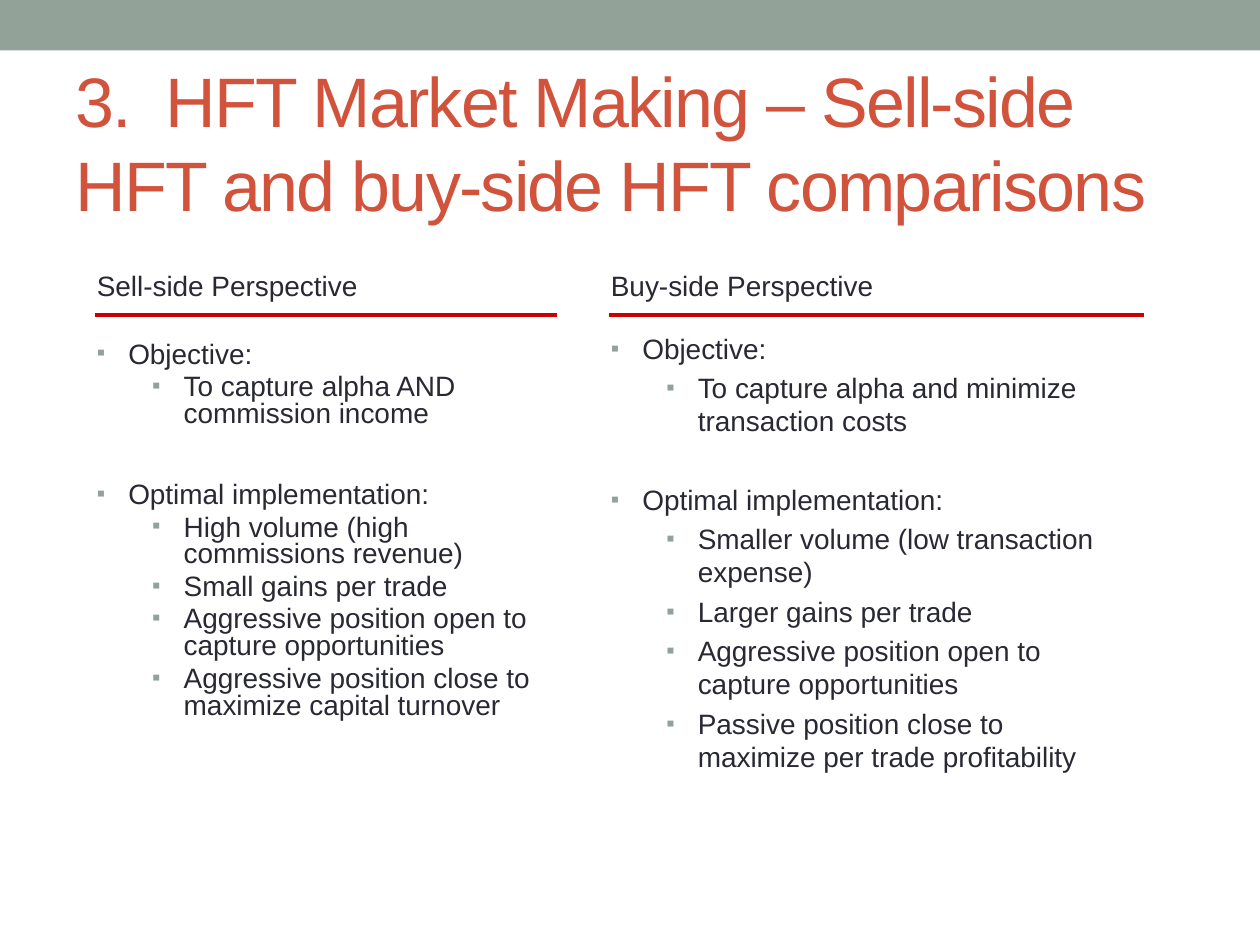
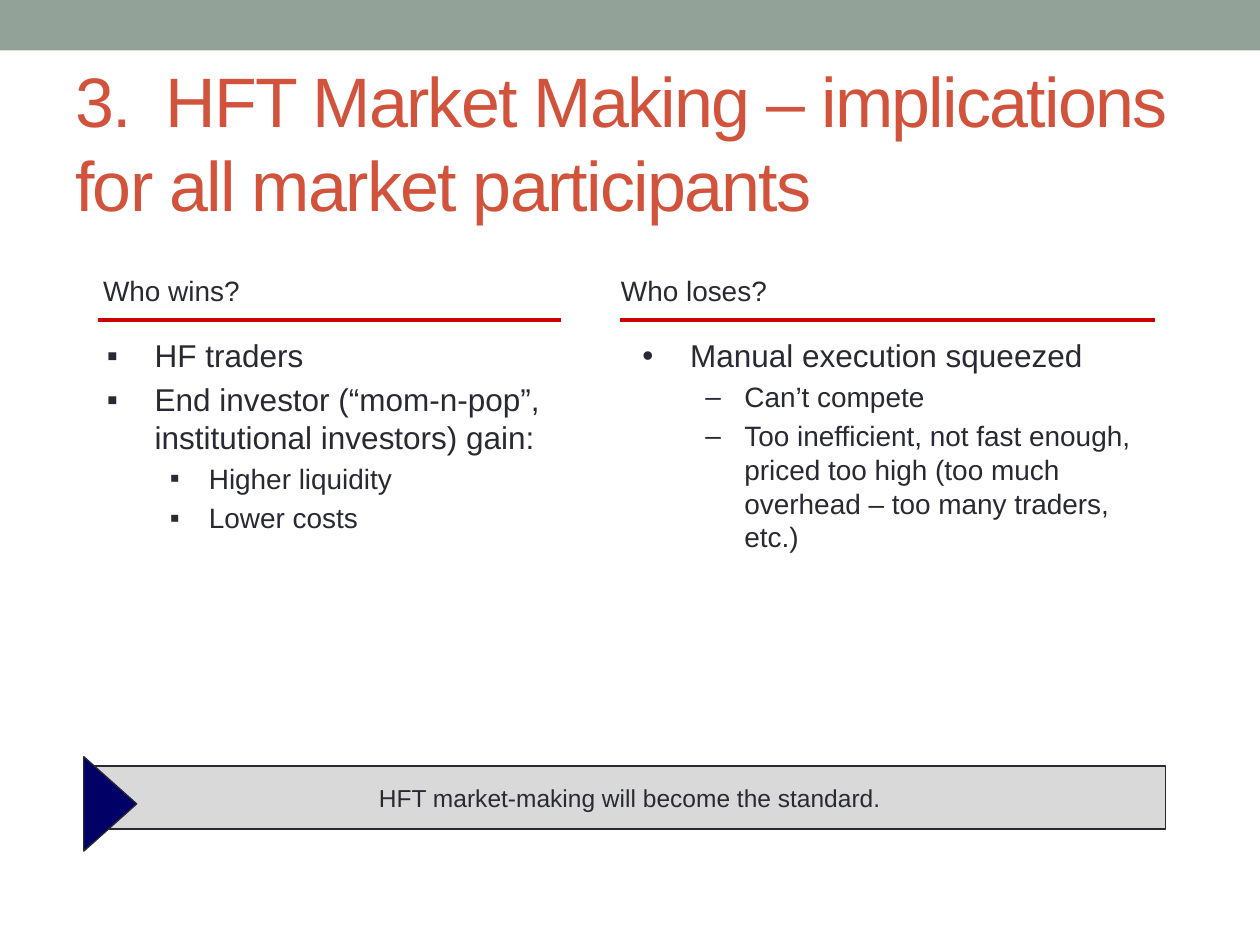
from dataclasses import dataclass

from lxml import etree
from pptx import Presentation
from pptx.dml.color import RGBColor
from pptx.enum.shapes import MSO_CONNECTOR, MSO_SHAPE
from pptx.enum.text import MSO_ANCHOR, PP_ALIGN
from pptx.oxml.ns import qn
from pptx.util import Inches, Pt

RECT, TRIANGLE = MSO_SHAPE.RECTANGLE, MSO_SHAPE.ISOSCELES_TRIANGLE
STRAIGHT = MSO_CONNECTOR.STRAIGHT
TOP, MIDDLE = MSO_ANCHOR.TOP, MSO_ANCHOR.MIDDLE
LEFT, CENTER = PP_ALIGN.LEFT, PP_ALIGN.CENTER


@dataclass(frozen=True)
class Theme:
    font: str = "Arial"
    ink: str = "292934"
    sage: str = "93A299"
    coral: str = "D2533C"
    red: str = "CC0000"
    gray: str = "D9D9D9"
    navy: str = "000066"
    title: int = 40
    lead: int = 18
    body: int = 16
    note: int = 14


THEME = Theme()

# Indents per level: (text margin, hang)
TIGHT = ((0.25, 0.25), (0.69, 0.25))
WIDE = ((0.38, 0.38), (0.81, 0.31))

# List styles: bullets and sizes are given per level
SAGE = dict(marks="▪▪", sizes=(THEME.body, THEME.body), dents=TIGHT,
            tint=THEME.sage, scale=85)
DARK = dict(marks="▪▪", sizes=(THEME.lead, THEME.body), dents=WIDE)
DASH = dict(DARK, marks="•–")

# Columns: head, head place, rule (left, top, width), list box, style, items.
# An item is (level, text); "gap" is the space in points above each later group.
SLIDES = [
    dict(
        title="3.  HFT Market Making – Sell-side HFT and buy-side HFT comparisons",
        columns=[
            dict(head="Sell-side Perspective", spot=(0.67, 2.08),
                 rule=(0.75, 2.5, 3.67), box=(0.67, 2.67, 3.67, 3.33),
                 style=dict(SAGE, lines=0.8, gap=31),
                 items=[(0, "Objective:"),
                        (1, "To capture alpha AND commission income"),
                        (0, "Optimal implementation:"),
                        (1, "High volume (high commissions revenue)"),
                        (1, "Small gains per trade"),
                        (1, "Aggressive position open to capture opportunities"),
                        (1, "Aggressive position close to maximize capital turnover")]),
            dict(head="Buy-side Perspective", spot=(4.75, 2.08),
                 rule=(4.83, 2.5, 4.25), box=(4.75, 2.58, 4.17, 4.17),
                 style=dict(SAGE, gap=25.5),
                 items=[(0, "Objective:"),
                        (1, "To capture alpha and minimize transaction costs"),
                        (0, "Optimal implementation:"),
                        (1, "Smaller volume (low transaction expense)"),
                        (1, "Larger gains per trade"),
                        (1, "Aggressive position open to capture opportunities"),
                        (1, "Passive position close to maximize per trade profitability")]),
        ]),
    dict(
        title="3.  HFT Market Making – implications for all market participants",
        columns=[
            dict(head="Who wins?", spot=(0.72, 2.12),
                 rule=(0.78, 2.54, 3.67), box=(0.75, 2.62, 4.17, 2.21),
                 style=DARK,
                 items=[(0, "HF traders"),
                        (0, "End investor (“mom-n-pop”, institutional investors) gain:"),
                        (1, "Higher liquidity"),
                        (1, "Lower costs")]),
            dict(head="Who loses?", spot=(4.83, 2.12),
                 rule=(4.92, 2.54, 4.25), box=(5, 2.62, 4.17, 2.21),
                 style=DASH,
                 items=[(0, "Manual execution squeezed"),
                        (1, "Can’t compete"),
                        (1, "Too inefficient, not fast enough, priced too high "
                            "(too much overhead – too many traders, etc.)")]),
        ],
        banner="HFT market-making will become the standard."),
]


def color(code):
    return RGBColor.from_string(code)


def write(para, text, size=THEME.body, ink=THEME.ink, align=LEFT, track=0):
    """Put formatted text into a paragraph."""
    para.alignment = align
    run = para.add_run()
    run.text = text
    run.font.name, run.font.size = THEME.font, Pt(size)
    run.font.color.rgb = color(ink)
    if track:
        run._r.get_or_add_rPr().set("spc", str(track * 100))


def frame(slide, box, anchor=TOP):
    area = slide.shapes.add_textbox(*map(Inches, box)).text_frame
    area.word_wrap = True
    area.vertical_anchor = anchor
    return area


def block(slide, kind, box, fill, line=None):
    shape = slide.shapes.add_shape(kind, *map(Inches, box))
    shape.shadow.inherit = False
    shape.fill.solid()
    shape.fill.fore_color.rgb = color(fill)
    if line:
        shape.line.color.rgb = color(line)
        shape.line.width = Pt(0.75)
    else:
        shape.line.fill.background()
    return shape


def rule(slide, left, top, width):
    ends = map(Inches, (left, top, left + width, top))
    line = slide.shapes.add_connector(STRAIGHT, *ends)
    line.line.color.rgb = color(THEME.red)
    line.line.width = Pt(2.25)
    etree.SubElement(line._element.spPr, qn("a:effectLst"))


def bullet(para, mark, dent, tint=None, scale=None):
    props = para._p.get_or_add_pPr()
    margin, hang = dent
    props.set("marL", str(Inches(margin)))
    props.set("indent", str(-Inches(hang)))
    if tint:
        paint = etree.SubElement(props, qn("a:buClr"))
        etree.SubElement(paint, qn("a:srgbClr"), val=tint)
    if scale:
        etree.SubElement(props, qn("a:buSzPct"), val=str(scale * 1000))
    etree.SubElement(props, qn("a:buFont"), typeface=THEME.font)
    etree.SubElement(props, qn("a:buChar"), char=mark)


def outline(slide, box, items, marks, sizes, dents,
            tint=None, scale=None, lines=None, gap=None):
    """Draw a two-level bullet list."""
    area = frame(slide, box)
    for index, (level, text) in enumerate(items):
        para = area.add_paragraph() if index else area.paragraphs[0]
        para.level = level
        size = sizes[level]
        group = gap and index and level == 0
        para.space_before = Pt(gap if group else size * 0.2)
        if lines:
            para.line_spacing = lines
        write(para, text, size=size)
        bullet(para, marks[level], dents[level], tint, scale)


def column(slide, head, spot, rule_at, box, style, items):
    outline(slide, box, items, **style)
    rule(slide, *rule_at)
    label = frame(slide, (*spot, rule_at[2], 0.37))
    write(label.paragraphs[0], head)


def banner(slide, text):
    bar = block(slide, RECT, (0.75, 6.08, 8.5, 0.5), THEME.gray, THEME.ink)
    bar.text_frame.word_wrap = True
    bar.text_frame.vertical_anchor = MIDDLE
    write(bar.text_frame.paragraphs[0], text, size=THEME.note, align=CENTER)
    arrow = block(slide, TRIANGLE, (0.5, 6.17, 0.75, 0.42), THEME.navy, THEME.ink)
    arrow.rotation = 90


def base(deck, title):
    """Add a slide with the shared top band and title."""
    slide = deck.slides.add_slide(deck.slide_layouts[6])
    block(slide, RECT, (0, 0, 10, 0.4), THEME.sage)
    area = frame(slide, (0.5, 0.58, 9, 1.08), MIDDLE)
    write(area.paragraphs[0], title, size=THEME.title, ink=THEME.coral, track=-1)
    return slide


def main():
    deck = Presentation()
    deck.slide_width, deck.slide_height = Inches(10), Inches(7.5)
    for page in SLIDES:
        slide = base(deck, page["title"])
        for col in page["columns"]:
            column(slide, col["head"], col["spot"], col["rule"],
                   col["box"], col["style"], col["items"])
        if "banner" in page:
            banner(slide, page["banner"])
    deck.save("out.pptx")


if __name__ == "__main__":
    main()
